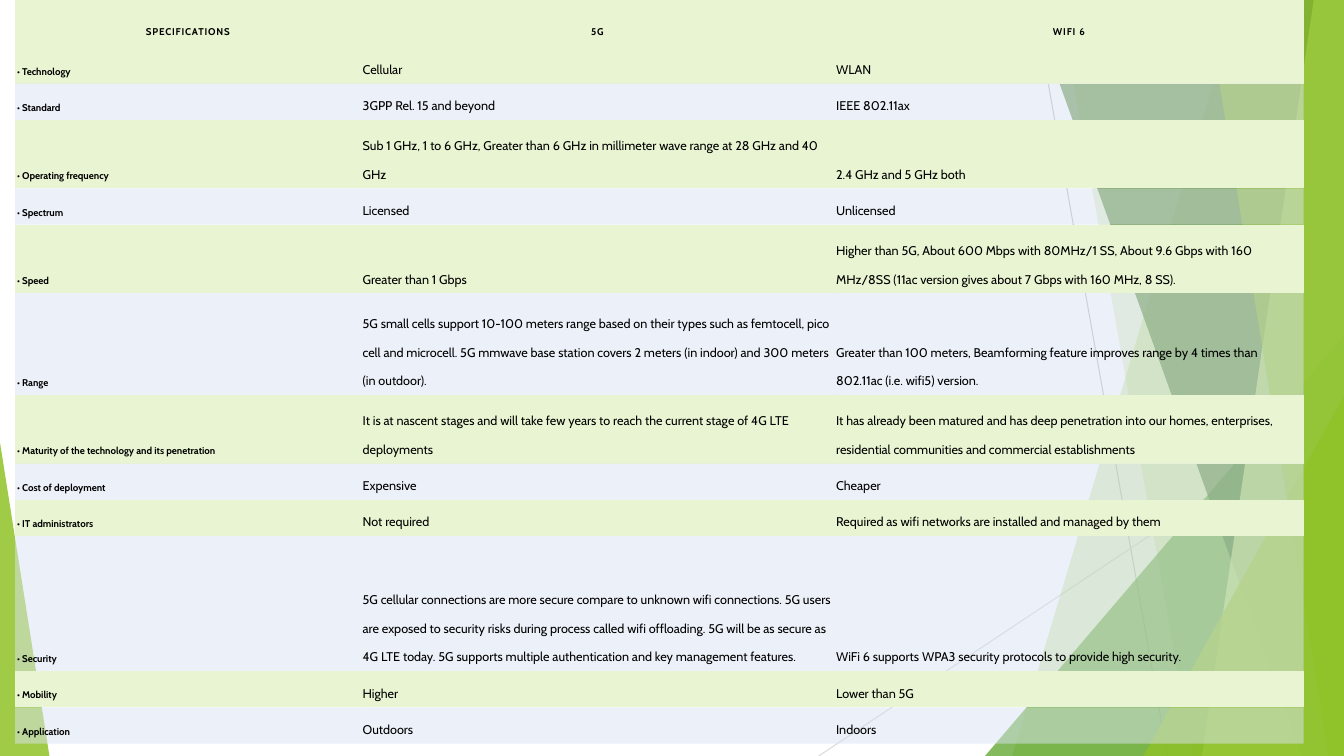
from dataclasses import dataclass

from lxml import etree
from pptx import Presentation
from pptx.dml.color import RGBColor
from pptx.enum.shapes import MSO_CONNECTOR, MSO_SHAPE
from pptx.enum.text import MSO_ANCHOR, PP_ALIGN
from pptx.oxml.ns import qn
from pptx.util import Inches, Pt

LINE = MSO_CONNECTOR.STRAIGHT
TRIANGLE = MSO_SHAPE.ISOSCELES_TRIANGLE
MIDDLE, BOTTOM = MSO_ANCHOR.MIDDLE, MSO_ANCHOR.BOTTOM
CENTER, LEFT = PP_ALIGN.CENTER, PP_ALIGN.LEFT
NO_GRID_STYLE = "{2D5ABB26-0587-4C30-8999-92F81FD0307C}"


@dataclass(frozen=True)
class Theme:
    font: str = "Cabin"
    label_size: float = 7
    body_size: float = 9
    leading: float = 20.4
    space_after: float = 8
    text: str = "000000"
    green: str = "90C226"
    mid_green: str = "54A021"
    dark_green: str = "3F7819"
    lime: str = "C0E474"
    band_green: str = "E9F5D2"
    band_blue: str = "DAE3F3"
    line: str = "BFBFBF"
    pale_line: str = "D9D9D9"


T = Theme()

HEADER = ("SPECIFICATIONS", "5G", "WIFI 6")
ROWS = [
    ("Technology", "Cellular", "WLAN"),
    ("Standard", "3GPP Rel. 15 and beyond", "IEEE 802.11ax"),
    ("Operating frequency",
     "Sub 1 GHz, 1 to 6 GHz, Greater than 6 GHz in millimeter wave range at 28 GHz and 40 GHz",
     "2.4 GHz and 5 GHz both"),
    ("Spectrum", "Licensed", "Unlicensed"),
    ("Speed", "Greater than 1 Gbps",
     "Higher than 5G, About 600 Mbps with 80MHz/1 SS, About 9.6 Gbps with 160 MHz/8SS "
     "(11ac version gives about 7 Gbps with 160 MHz, 8 SS)."),
    ("Range",
     "5G small cells support 10-100 meters range based on their types such as femtocell, "
     "pico cell and microcell. 5G mmwave base station covers 2 meters (in indoor) and "
     "300 meters (in outdoor).",
     "Greater than 100 meters, Beamforming feature improves range by 4 times than "
     "802.11ac (i.e. wifi5) version."),
    ("Maturity of the technology and its penetration",
     "It is at nascent stages and will take few years to reach the current stage of "
     "4G LTE deployments",
     "It has already been matured and has deep penetration into our homes, enterprises, "
     "residential communities and commercial establishments"),
    ("Cost of deployment", "Expensive", "Cheaper"),
    ("IT administrators", "Not required",
     "Required as wifi networks are installed and managed by them"),
    ("Security",
     "5G cellular connections are more secure compare to unknown wifi connections. 5G users "
     "are exposed to security risks during process called wifi offloading. 5G will be as "
     "secure as 4G LTE today. 5G supports multiple authentication and key management features.",
     "WiFi 6 supports WPA3 security protocols to provide high security."),
    ("Mobility", "Higher", "Lower than 5G"),
    ("Application", "Outdoors", "Indoors"),
]
COL_SHARES = (3.43, 4.7, 4.66)
ROW_SHARES = (0.47, 0.36, 0.36, 0.68, 0.36, 0.68, 1.01, 0.68, 0.36, 0.36, 1.34, 0.36, 0.36)


def fill_solid(target, color, alpha=100):
    target.fill.solid()
    target.fill.fore_color.rgb = RGBColor.from_string(color)
    if alpha < 100:
        clr = next(target.fill._xPr.iter(qn("a:srgbClr")))
        etree.SubElement(clr, qn("a:alpha")).set("val", str(alpha * 1000))


def style_facet(sp, color, alpha):
    sp.shadow.inherit = False
    sp.line.fill.background()
    fill_solid(sp, color, alpha)


def draw_facets(s, left, top, width, height):
    """Translucent green facets along the right and left edges of the box."""
    right, bottom = left + width, top + height

    def thin_line(x1, y1, x2, y2, color):
        cx = s.shapes.add_connector(LINE, Inches(x1), Inches(y1), Inches(x2), Inches(y2))
        cx.line.color.rgb = RGBColor.from_string(color)
        cx.line.width = Pt(0.75)
        etree.SubElement(cx._element.spPr, qn("a:effectLst"))

    def band(x_top, x_bottom, color, alpha):
        pts = [(x_top, top), (right, top), (right, bottom), (x_bottom, bottom)]
        pts = [(Inches(x), Inches(y)) for x, y in pts]
        fb = s.shapes.build_freeform(*pts[0])
        fb.add_line_segments(pts[1:], close=True)
        style_facet(fb.convert_to_shape(), color, alpha)

    def corner(x, w, h, apex, color, alpha):
        sp = s.shapes.add_shape(TRIANGLE, Inches(x), Inches(bottom - h), Inches(w), Inches(h))
        sp.adjustments[0] = apex
        style_facet(sp, color, alpha)

    thin_line(left + 10.25, top, left + 11.58, bottom, T.line)
    thin_line(right, top + 4.03, left + 8.12, bottom, T.pale_line)
    band(left + 12.28, left + 10.04, T.green, 30)
    band(left + 10.5, left + 11.83, T.green, 20)
    corner(right - 3.56, 3.56, 4.17, 1, T.mid_green, 72)
    band(left + 10.21, left + 12.91, T.dark_green, 70)
    band(left + 13.03, left + 11.92, T.lime, 70)
    band(left + 11.96, left + 13.18, T.green, 65)
    corner(right - 1.99, 1.99, 3.57, 1, T.green, 80)
    corner(left, 0.49, 3.11, 0, T.green, 85)


def fill_cell(cell, text, header, label):
    insets = (0.08, 0.08, 0.08, 0.08) if header else (0.02, 0.01, 0.02, 0.06)
    (cell.margin_left, cell.margin_top,
     cell.margin_right, cell.margin_bottom) = (Inches(v) for v in insets)
    cell.vertical_anchor = MIDDLE if header else BOTTOM
    p = cell.text_frame.paragraphs[0]
    r = p.add_run()
    r.text = text
    p.alignment = CENTER if header else LEFT
    p.line_spacing = Pt(T.leading)
    p.space_after = Pt(T.space_after)
    p.font.name = T.font
    p.font.size = Pt(T.label_size if label else T.body_size)
    p.font.bold = label
    p.font.color.rgb = RGBColor.from_string(T.text)
    if header:
        r._r.get_or_add_rPr().set("spc", "60")


def draw_comparison(s, left, top, width, height):
    """Comparison table; columns and rows share out the box."""
    table = s.shapes.add_table(len(ROW_SHARES), len(COL_SHARES), Inches(left), Inches(top),
                               Inches(width), Inches(height)).table
    table.first_row = table.horz_banding = False
    table._tbl.tblPr.find(qn("a:tableStyleId")).text = NO_GRID_STYLE
    for col, share in zip(table.columns, COL_SHARES):
        col.width = Inches(width * share / sum(COL_SHARES))
    for row, share in zip(table.rows, ROW_SHARES):
        row.height = Inches(height * share / sum(ROW_SHARES))

    bulleted = [("• " + name, *values) for name, *values in ROWS]
    for i, texts in enumerate([HEADER] + bulleted):
        for j, text in enumerate(texts):
            cell = table.cell(i, j)
            fill_cell(cell, text, header=i == 0, label=i == 0 or j == 0)
            # Blue bands fall on every second row below the header
            if i and i % 2 == 0:
                fill_solid(cell, T.band_blue, 50)
            else:
                fill_solid(cell, T.band_green)


def main():
    prs = Presentation()
    prs.slide_width, prs.slide_height = Inches(13.33), Inches(7.5)
    s = prs.slides.add_slide(prs.slide_layouts[6])
    draw_facets(s, 0, 0, 13.33, 7.5)
    draw_comparison(s, 0.15, 0, 12.78, 7.38)
    prs.save("out.pptx")


if __name__ == "__main__":
    main()
